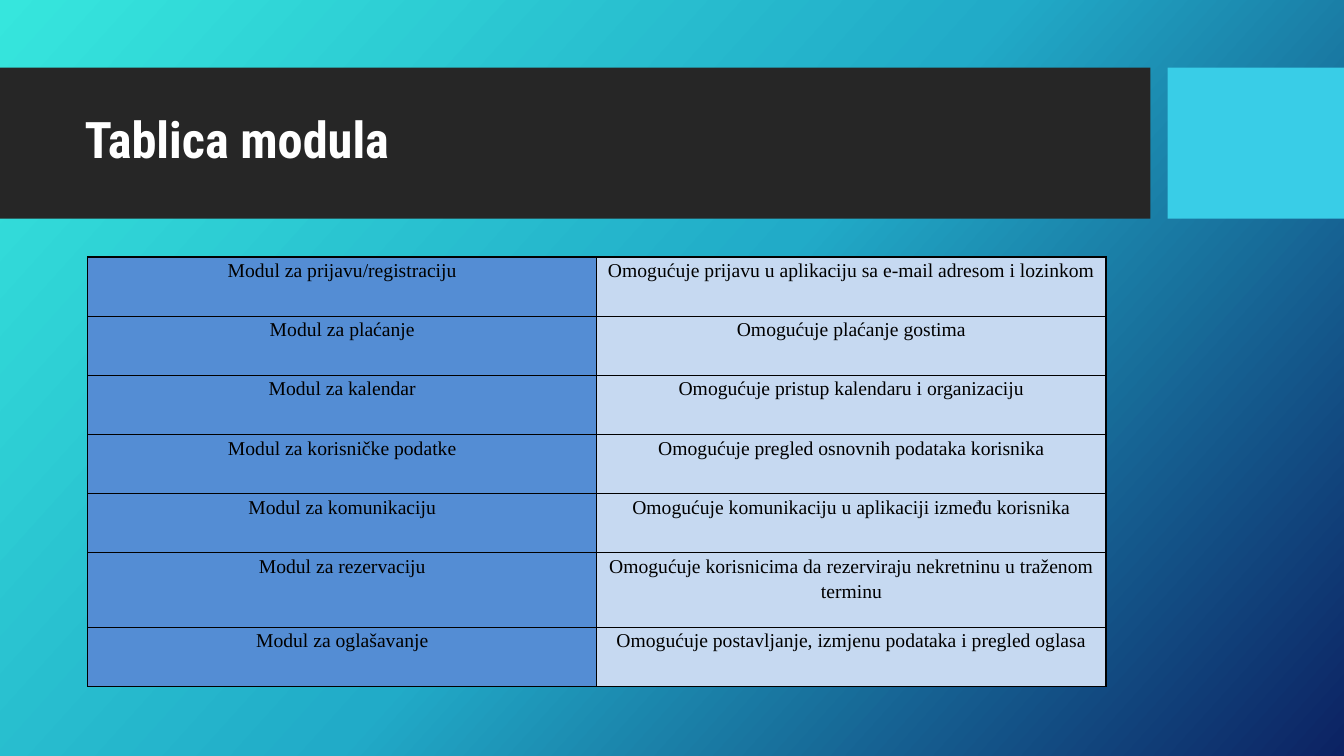
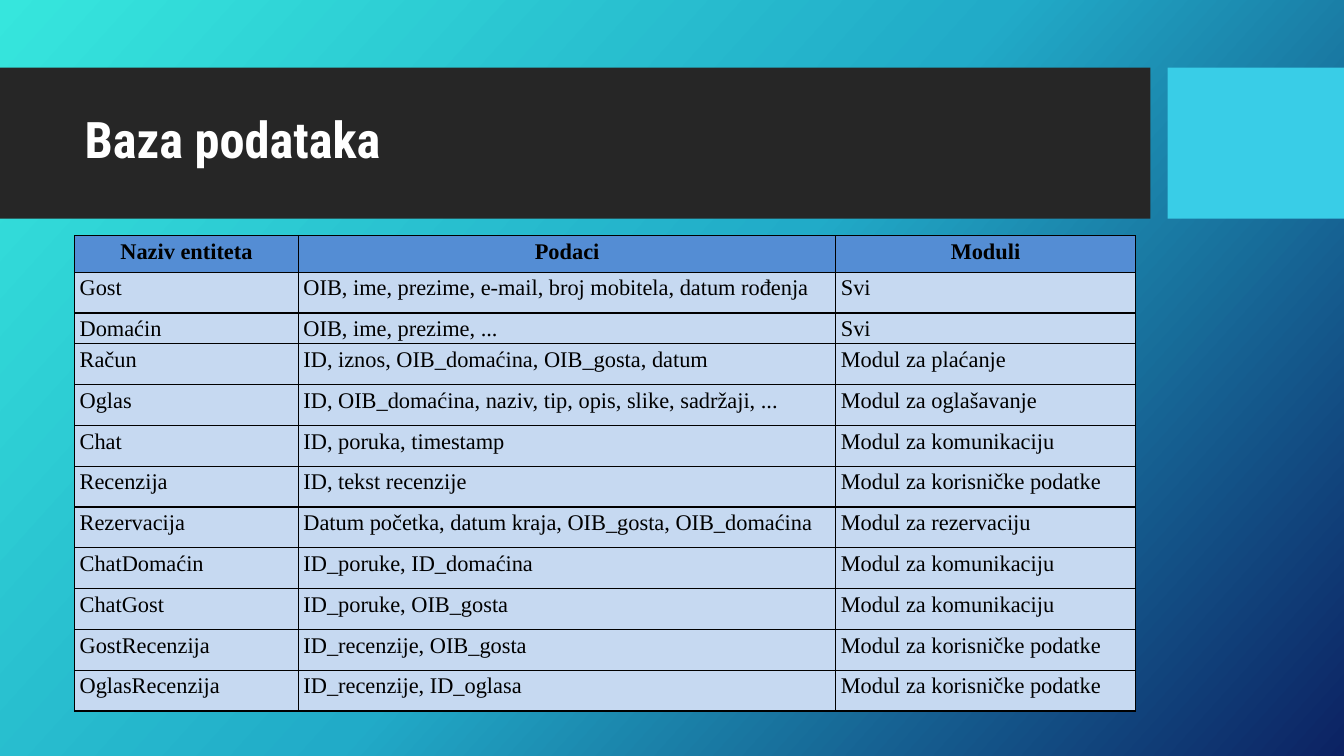
from lxml import etree
from pptx import Presentation
from pptx.dml.color import RGBColor
from pptx.enum.shapes import MSO_SHAPE
from pptx.enum.text import MSO_ANCHOR, PP_ALIGN
from pptx.oxml.ns import qn
from pptx.util import Inches, Pt

RECTANGLE = MSO_SHAPE.RECTANGLE
MIDDLE = MSO_ANCHOR.MIDDLE
LEFT, CENTER = PP_ALIGN.LEFT, PP_ALIGN.CENTER

COLORS = {
    "band": "262626",
    "accent": "39CDE7",
    "title": "FFFFFF",
    "text": "000000",
    "border": "000000",
    "strong": "548DD4",
    "light": "C6D9F1",
}
GRADIENT = [(0, "36E6DD"), (50, "21ABC8"), (100, "0C2263")]
GRADIENT_ANGLE = 42
TITLE_FONT, TABLE_FONT = "Roboto Condensed", "Times New Roman"
SLIDE_WIDTH, SLIDE_HEIGHT = 13.33, 7.5
BAND_BOXES = {"band": (0, 0.67, 11.41, 1.5), "accent": (11.58, 0.67, 1.75, 1.5)}
TITLE_BOX = (0.74, 0.82, 10.51, 1.18)

MODULES = [
    ("Modul za prijavu/registraciju", "Omogućuje prijavu u aplikaciju sa e-mail adresom i lozinkom"),
    ("Modul za plaćanje", "Omogućuje plaćanje gostima"),
    ("Modul za kalendar", "Omogućuje pristup kalendaru i organizaciju"),
    ("Modul za korisničke podatke", "Omogućuje pregled osnovnih podataka korisnika"),
    ("Modul za komunikaciju", "Omogućuje komunikaciju u aplikaciji između korisnika"),
    ("Modul za rezervaciju", "Omogućuje korisnicima da rezerviraju nekretninu u traženom terminu"),
    ("Modul za oglašavanje", "Omogućuje postavljanje, izmjenu podataka i pregled oglasa"),
]
ENTITIES = [
    ("Naziv entiteta", "Podaci", "Moduli"),
    ("Gost", "OIB, ime, prezime, e-mail, broj mobitela, datum rođenja", "Svi"),
    ("Domaćin", "OIB, ime, prezime, ...", "Svi"),
    ("Račun", "ID, iznos, OIB_domaćina, OIB_gosta, datum", "Modul za plaćanje"),
    ("Oglas", "ID, OIB_domaćina, naziv, tip, opis, slike, sadržaji, ...", "Modul za oglašavanje"),
    ("Chat", "ID, poruka, timestamp", "Modul za komunikaciju"),
    ("Recenzija", "ID, tekst recenzije", "Modul za korisničke podatke"),
    ("Rezervacija", "Datum početka, datum kraja, OIB_gosta, OIB_domaćina", "Modul za rezervaciju"),
    ("ChatDomaćin", "ID_poruke, ID_domaćina", "Modul za komunikaciju"),
    ("ChatGost", "ID_poruke, OIB_gosta", "Modul za komunikaciju"),
    ("GostRecenzija", "ID_recenzije, OIB_gosta", "Modul za korisničke podatke"),
    ("OglasRecenzija", "ID_recenzije, ID_oglasa", "Modul za korisničke podatke"),
]


def color(name):
    """Return the named palette colour."""
    return RGBColor.from_string(COLORS[name])


def inches(box):
    """Convert a box in inches to lengths."""
    return [Inches(length) for length in box]


def paint_background(slide):
    """Fill the slide with the diagonal gradient."""
    fill = slide.background.fill
    fill.gradient()
    fill.gradient_angle = 360 - GRADIENT_ANGLE
    stops = slide.element.xpath(".//p:bg//a:gsLst")[0]
    for stop in list(stops):
        stops.remove(stop)
    for percent, value in GRADIENT:
        stop = etree.SubElement(stops, qn("a:gs"), pos=str(percent * 1000))
        etree.SubElement(stop, qn("a:srgbClr"), val=value)


def add_bands(slide):
    """Draw the title band and the accent block."""
    for name, box in BAND_BOXES.items():
        shape = slide.shapes.add_shape(RECTANGLE, *inches(box))
        shape.shadow.inherit = False
        shape.fill.solid()
        shape.fill.fore_color.rgb = color(name)
        shape.line.fill.background()


def add_title(slide, text, box):
    """Write the slide title in its box."""
    frame = slide.shapes.add_textbox(*inches(box)).text_frame
    frame.word_wrap = True
    frame.vertical_anchor = MIDDLE
    paragraph = frame.paragraphs[0]
    paragraph.text = text
    paragraph.line_spacing = 0.9
    font = paragraph.font
    font.name, font.size, font.bold = TITLE_FONT, Pt(36), True
    font.color.rgb = color("title")


def add_borders(cell):
    """Outline all four sides of a table cell."""
    properties = cell._tc.get_or_add_tcPr()
    for side in ("a:lnL", "a:lnR", "a:lnT", "a:lnB"):
        line = etree.SubElement(properties, qn(side), w=str(Pt(1)))
        fill = etree.SubElement(line, qn("a:solidFill"))
        etree.SubElement(fill, qn("a:srgbClr"), val=COLORS["border"])


def fill_cell(cell, text, size, margin, strong, alignment, bold):
    """Write and style one table cell."""
    add_borders(cell)
    cell.fill.solid()
    cell.fill.fore_color.rgb = color("strong" if strong else "light")
    cell.margin_left = cell.margin_right = Inches(margin)
    cell.margin_top = cell.margin_bottom = 0
    paragraph = cell.text_frame.paragraphs[0]
    paragraph.text = text
    paragraph.alignment = alignment
    paragraph.line_spacing = 1.15
    paragraph.space_after = Pt(10)
    font = paragraph.font
    font.name, font.size, font.bold = TABLE_FONT, Pt(size), bold
    font.color.rgb = color("text")


def add_grid(slide, rows, box, columns, special_heights, size, margin, header):
    """Place a table whose ordinary rows share the height left over."""
    table = slide.shapes.add_table(len(rows), len(columns), *inches(box)).table
    table.first_row = table.horz_banding = False
    for column, width in zip(table.columns, columns):
        column.width = Inches(width)
    shared = (box[3] - sum(special_heights.values())) / (len(rows) - len(special_heights))
    for row_index, texts in enumerate(rows):
        table.rows[row_index].height = Inches(special_heights.get(row_index, shared))
        heading = header and row_index == 0
        for column_index, text in enumerate(texts):
            strong = heading or (not header and column_index == 0)
            alignment = CENTER if heading or not header else LEFT
            fill_cell(table.cell(row_index, column_index), text, size, margin,
                      strong, alignment, heading)


def add_table_slide(presentation, title, **grid):
    """Add a slide with background, bands, title and one table."""
    slide = presentation.slides.add_slide(presentation.slide_layouts[6])
    paint_background(slide)
    add_bands(slide)
    add_title(slide, title, TITLE_BOX)
    add_grid(slide, **grid)


def main():
    """Build and save the presentation."""
    presentation = Presentation()
    presentation.slide_width = Inches(SLIDE_WIDTH)
    presentation.slide_height = Inches(SLIDE_HEIGHT)
    add_table_slide(presentation, "Tablica modula", rows=MODULES,
                    box=(0.87, 2.55, 10.1, 4.26), columns=(5.05, 5.05),
                    special_heights={5: 0.74}, size=14, margin=0.07, header=False)
    add_table_slide(presentation, "Baza podataka", rows=ENTITIES,
                    box=(0.74, 2.34, 10.52, 4.7), columns=(2.22, 5.33, 2.97),
                    special_heights={0: 0.36, 2: 0.29}, size=16, margin=0.05, header=True)
    presentation.save("out.pptx")


if __name__ == "__main__":
    main()
